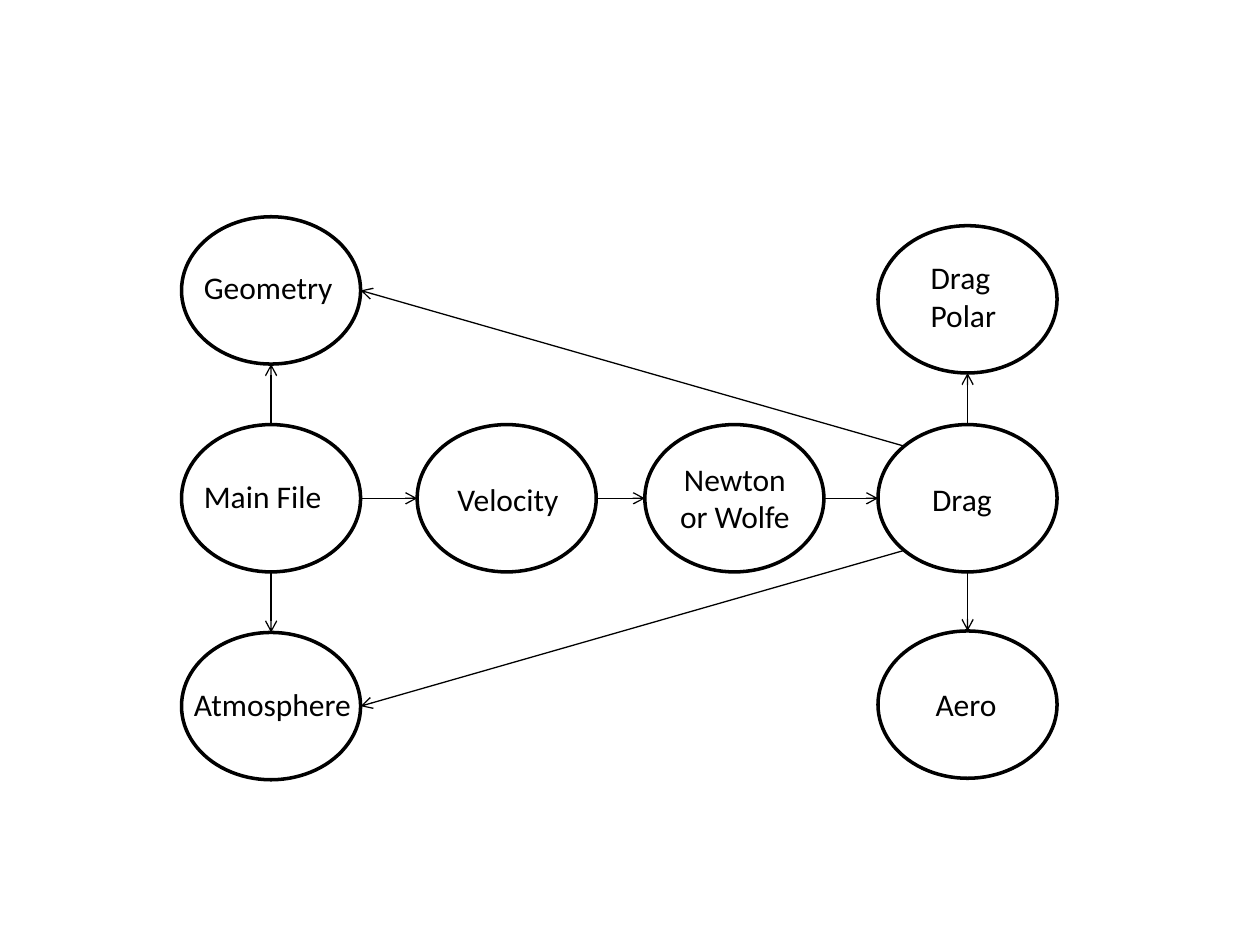
from math import sqrt

from lxml.etree import SubElement
from pptx import Presentation
from pptx.dml.color import RGBColor
from pptx.enum.shapes import MSO_CONNECTOR, MSO_SHAPE
from pptx.enum.text import MSO_AUTO_SIZE, PP_ALIGN
from pptx.oxml.ns import qn
from pptx.util import Cm, Pt

BLACK = "000000"
WIDE, HIGH = 3.61, 2.97
DIAG = 1 / sqrt(2)

# name: oval left and top, label offset from the oval, label width and height
NODES = {
    "Velocity": (8.41, 8.56, 0.56, 0.99, 2.62, 1.02),
    "Main File": (3.66, 8.56, 0.2, 0.94, 3.07, 1.02),
    "Newton or Wolfe": (13, 8.56, 0.33, 0.58, 2.97, 1.8),
    "Aero": (17.7, 12.72, 0.91, 0.97, 2.03, 1.02),
    "Atmosphere": (3.66, 12.75, 0, 0.94, 3.84, 1.02),
    "Drag": (17.7, 8.56, 0.84, 0.99, 1.9, 1.02),
    "Geometry": (3.66, 4.37, 0.2, 0.91, 3.38, 1.02),
    "Drag Polar": (17.7, 4.55, 0.81, 0.53, 1.96, 1.8),
}

UP, DOWN, LEFT, RIGHT = (0, -1), (0, 1), (-1, 0), (1, 0)
LINKS = [
    ("Main File", UP, "Geometry", DOWN),
    ("Main File", RIGHT, "Velocity", LEFT),
    ("Main File", DOWN, "Atmosphere", UP),
    ("Velocity", RIGHT, "Newton or Wolfe", LEFT),
    ("Newton or Wolfe", RIGHT, "Drag", LEFT),
    ("Drag", (-DIAG, -DIAG), "Geometry", RIGHT),
    ("Drag", (-DIAG, DIAG), "Atmosphere", RIGHT),
    ("Drag", DOWN, "Aero", UP),
    ("Drag", UP, "Drag Polar", DOWN),
]


def color(code):
    """Turn a hex string into a colour."""
    return RGBColor.from_string(code)


def write(frame, text, size=18, font="Calibri", fill=BLACK, align=None):
    """Put formatted text into a text frame."""
    para = frame.paragraphs[0]
    para.alignment = align
    run = para.add_run()
    run.text = text
    run.font.size = Pt(size)
    run.font.name = font
    run.font.color.rgb = color(fill)


def add_oval(shapes, left, top):
    """Add an unfilled oval with a heavy outline."""
    oval = shapes.add_shape(MSO_SHAPE.OVAL, Cm(left), Cm(top), Cm(WIDE), Cm(HIGH))
    oval.shadow.inherit = False
    oval.fill.background()
    oval.line.color.rgb = color(BLACK)
    oval.line.width = Pt(2)


def add_label(shapes, text, left, top, width, height, **style):
    """Add a wrapping text box that fits its text."""
    label = shapes.add_textbox(Cm(left), Cm(top), Cm(width), Cm(height))
    label.text_frame.word_wrap = True
    label.text_frame.auto_size = MSO_AUTO_SIZE.SHAPE_TO_FIT_TEXT
    write(label.text_frame, text, **style)


def add_node(slide, name, align=None):
    """Group an oval with its label."""
    left, top, right, down, width, height = NODES[name]
    shapes = slide.shapes.add_group_shape().shapes
    add_oval(shapes, left, top)
    add_label(shapes, name, left + right, top + down, width, height, align=align)


def edge(name, side):
    """Find the point on an oval's rim in the given direction."""
    left, top = NODES[name][:2]
    return Cm(left + WIDE / 2 * (1 + side[0])), Cm(top + HIGH / 2 * (1 + side[1]))


def add_arrow(slide, start, end):
    """Draw a thin line with an open arrowhead at its end."""
    arrow = slide.shapes.add_connector(MSO_CONNECTOR.STRAIGHT, *start, *end)
    arrow.line.color.rgb = color(BLACK)
    arrow.line.width = Pt(0.75)
    props = arrow.element.spPr
    SubElement(props.find(qn("a:ln")), qn("a:tailEnd"), type="arrow")
    SubElement(props, qn("a:effectLst"))


def main():
    """Build the flow diagram."""
    deck = Presentation()
    deck.slide_width, deck.slide_height = Cm(25.4), Cm(19.05)
    slide = deck.slides.add_slide(deck.slide_layouts[6])
    for name in NODES:
        add_node(slide, name, PP_ALIGN.CENTER if name == "Newton or Wolfe" else None)
    for source, out, target, into in LINKS:
        add_arrow(slide, edge(source, out), edge(target, into))
    deck.save("out.pptx")


main()
